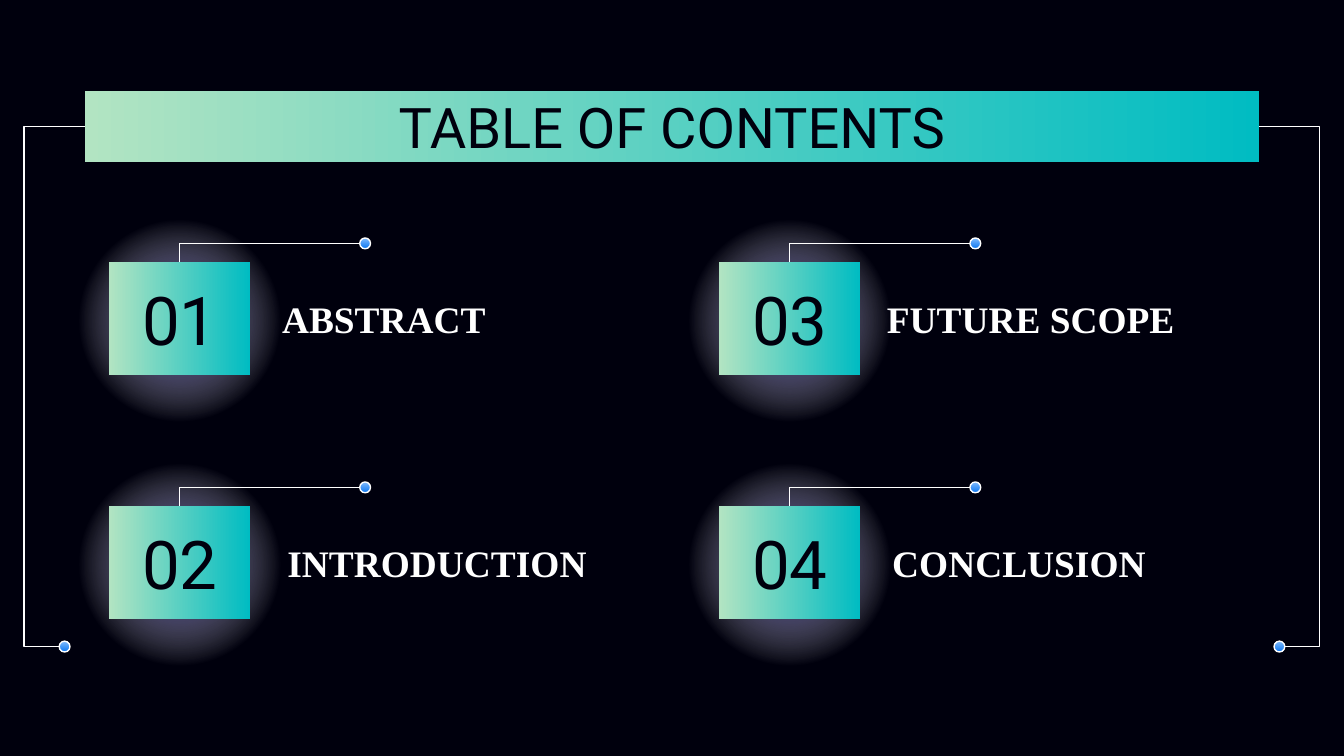
from pptx import Presentation
from pptx.dml.color import RGBColor
from pptx.enum.shapes import MSO_CONNECTOR as Connector, MSO_SHAPE as Shape
from pptx.enum.text import MSO_ANCHOR as Anchor, PP_ALIGN as Align
from pptx.oxml import parse_xml
from pptx.oxml.ns import nsdecls, qn
from pptx.util import Pt
from lxml import etree

WIDTH, HEIGHT = 720, 405
DARK, WHITE = "00000D", "FFFFFF"

# Gradient stops: position in percent, colour, opacity in percent
TEAL = [(0, "00BCC2", 100), (100, "B2E4C2", 100)]
BLUE = [(0, "82BCFE", 100), (100, "0C77F1", 100)]
GLOW = [(0, "170F8D", 100), (61, WHITE, 0), (100, WHITE, 0)]

# Contents by column, then by row
TOPICS = [["ABSTRACT", "INTRODUCTION"], ["FUTURE SCOPE", "CONCLUSION"]]
COLUMN_STEP, ROW_STEP = 326.9, 130.7
DOT_SIZE = 5.8


def color(value):
    return RGBColor.from_string(value)


def fill_gradient(shape, stops, angle=None):
    """Fill linearly at an angle, or from the centre outwards without one."""
    stop_xml = "".join(
        f'<a:gs pos="{position * 1000}"><a:srgbClr val="{value}">'
        f'<a:alpha val="{opacity * 1000}"/></a:srgbClr></a:gs>'
        for position, value, opacity in stops)
    if angle is None:
        direction = ('<a:path path="circle"><a:fillToRect l="50000" t="50000" '
                     'r="50000" b="50000"/></a:path>')
    else:
        direction = f'<a:lin ang="{angle * 60000}" scaled="0"/>'
    gradient = parse_xml(f'<a:gradFill {nsdecls("a")}><a:gsLst>{stop_xml}</a:gsLst>'
                         f'{direction}</a:gradFill>')
    shape._element.spPr.find(qn("a:prstGeom")).addnext(gradient)


def add_shape(slide, kind, left, top, width, height, stops, angle=None, line=None):
    shape = slide.shapes.add_shape(kind, Pt(left), Pt(top), Pt(width), Pt(height))
    shape.shadow.inherit = False
    fill_gradient(shape, stops, angle)
    if line:
        shape.line.color.rgb = color(line)
        shape.line.width = Pt(0.75)
    else:
        shape.line.fill.background()
    return shape


def add_dot(slide, center_x, center_y):
    add_shape(slide, Shape.OVAL, center_x - DOT_SIZE / 2, center_y - DOT_SIZE / 2,
              DOT_SIZE, DOT_SIZE, BLUE, angle=90, line=WHITE)


def add_elbow(slide, start, end, bend=None):
    """Draw two bends at a share of the width, or one corner without a bend."""
    connector = slide.shapes.add_connector(
        Connector.ELBOW, *(Pt(value) for value in (*start, *end)))
    connector.line.color.rgb = color(WHITE)
    connector.line.width = Pt(0.75)
    properties = connector._element.spPr
    etree.SubElement(properties, qn("a:effectLst"))
    geometry = properties.find(qn("a:prstGeom"))
    if bend is None:
        geometry.set("prst", "bentConnector2")
    else:
        guides = geometry.find(qn("a:avLst"))
        etree.SubElement(guides, qn("a:gd"), name="adj1",
                         fmla=f"val {round(bend * 100000)}")


def add_text(slide, text, left, top, width, height, size, font="Roboto",
             fill=DARK, bold=False, align=Align.CENTER, anchor=Anchor.MIDDLE):
    box = slide.shapes.add_textbox(Pt(left), Pt(top), Pt(width), Pt(height))
    frame = box.text_frame
    frame.word_wrap = True
    frame.vertical_anchor = anchor
    frame.margin_left = frame.margin_right = Pt(7.2)
    frame.margin_top = frame.margin_bottom = Pt(7.2)
    paragraph = frame.paragraphs[0]
    paragraph.alignment = align
    run = paragraph.add_run()
    run.text = text
    run.font.size = Pt(size)
    run.font.name = font
    run.font.bold = bold
    run.font.color.rgb = color(fill)


def add_topic(slide, column, row):
    x, y = column * COLUMN_STEP, row * ROW_STEP
    number = column * len(TOPICS[0]) + row + 1
    # Glowing number tile
    add_shape(slide, Shape.OVAL, 32.4 + x, 110.2 + y, 127.4, 123.1, GLOW)
    add_shape(slide, Shape.RECTANGLE, 58.4 + x, 140.6 + y, 75.5, 60.4, TEAL, angle=180)
    add_text(slide, f"{number:02}", 64.6 + x, 149.8 + y, 63.4, 41.8, size=36)
    # Label
    add_text(slide, TOPICS[column][row], 144 + 324 * column + 2.9 * row, 149.8 + y,
             193.7, 41.8, size=20, font="Times New Roman", fill=WHITE, bold=True,
             align=Align.LEFT)
    # Pointer
    add_elbow(slide, (193 + x, 130.4 + y), (96.2 + x, 140.6 + y))
    add_dot(slide, 195.6 + x, 130.4 + y)


def add_title(slide):
    add_shape(slide, Shape.RECTANGLE, 45.4, 48.8, 629.2, 38, TEAL, angle=180)
    add_text(slide, "TABLE OF CONTENTS", 56.7, 42.5, 606.6, 45.4, size=30,
             anchor=Anchor.TOP)


def add_side_frames(slide):
    for mirror in (lambda x: x, lambda x: WIDTH - x):
        add_elbow(slide, (mirror(31.7), 346.4), (mirror(45.4), 67.8), bend=-1.37)
        add_dot(slide, mirror(34.6), 346.4)


def main():
    presentation = Presentation()
    presentation.slide_width, presentation.slide_height = Pt(WIDTH), Pt(HEIGHT)
    slide = presentation.slides.add_slide(presentation.slide_layouts[6])
    background = slide.background.fill
    background.solid()
    background.fore_color.rgb = color(DARK)

    for column, topics in enumerate(TOPICS):
        for row in range(len(topics)):
            add_topic(slide, column, row)
    add_side_frames(slide)
    add_title(slide)
    presentation.save("out.pptx")


if __name__ == "__main__":
    main()
